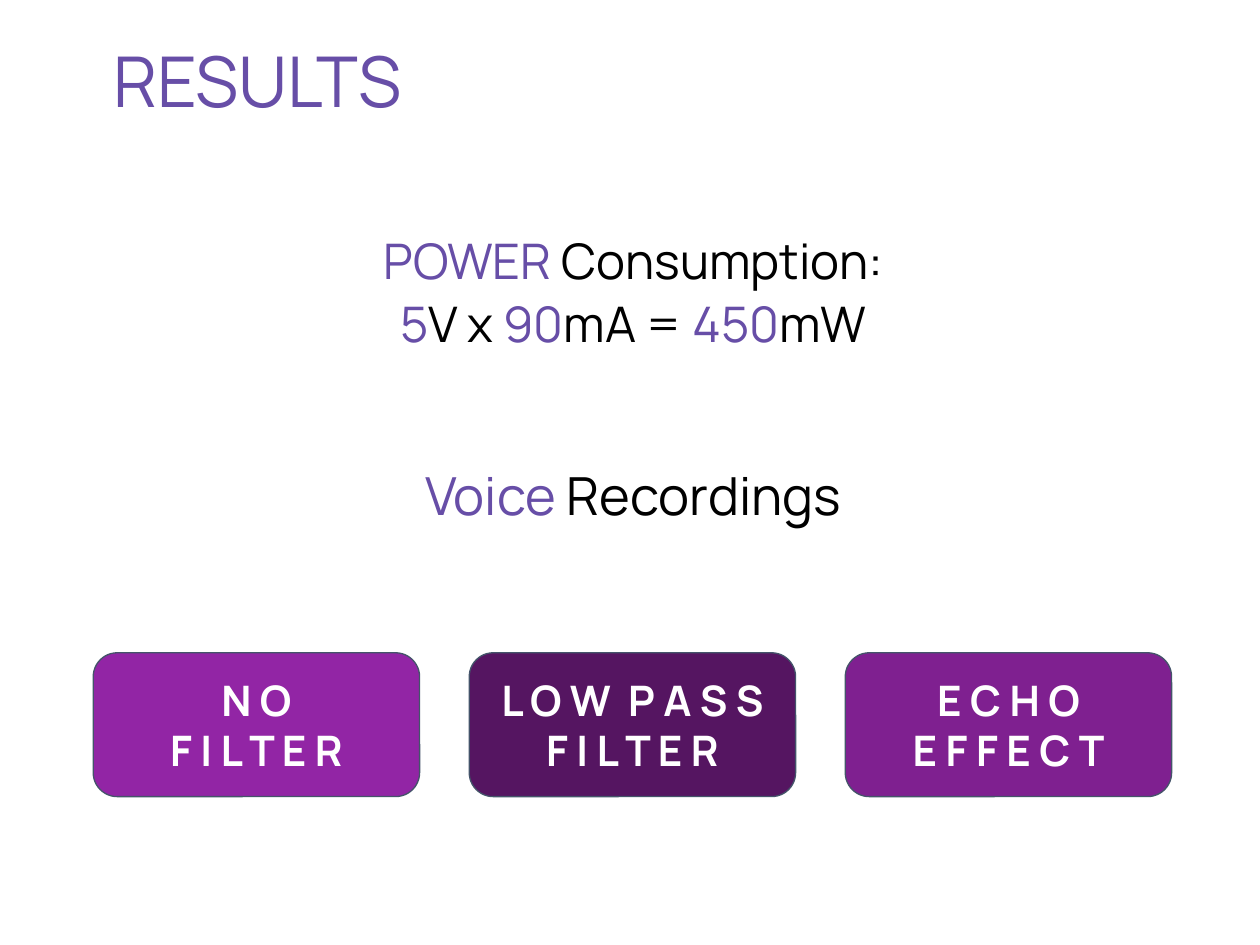
import pptx
import pptx.dml.color
import pptx.enum.shapes
import pptx.enum.text
import pptx.util
from pptx.util import Cm, Pt

COLOURS = {"accent": "674EA7", "text": "000000", "white": "FFFFFF", "outline": "44546A",
           "violet": "9225A5", "plum": "551561", "purple": "7F2090"}
FONT = "Manrope"
TITLE = "RESULTS"
BODY = [
    (28, 0, [("POWER ", "accent"), ("Consumption:", "text")]),
    (28, 5.6, [("5", "accent"), ("V x ", "text"), ("90", "accent"),
               ("mA = ", "text"), ("450", "accent"), ("mW", "text")]),
    (30, 67, [("Voice", "accent"), (" Recordings", "text")]),
]
BUTTONS = [
    ("violet", [["N O"], ["F I L T E R"]]),
    ("plum", [["L O W", "P A S S"], ["F I L T E R"]]),
    ("purple", [["E C H O"], ["E F F E C T"]]),
]
BUTTON_LEFT, BUTTON_TOP, BUTTON_STEP = 1.88, 13.16, 7.58
BUTTON_WIDTH, BUTTON_HEIGHT = 6.58, 2.9
WORD_GAP = "500"
CENTER = pptx.enum.text.PP_ALIGN.CENTER
MIDDLE = pptx.enum.text.MSO_ANCHOR.MIDDLE


def colour(name):
    return pptx.dml.color.RGBColor.from_string(COLOURS[name])


def add_run(paragraph, text, size, colour_name, bold=False):
    run = paragraph.add_run()
    run.text = text
    run.font.name = FONT
    run.font.size = Pt(size)
    run.font.bold = bold
    run.font.color.rgb = colour(colour_name)
    return run


def paragraphs(frame, count):
    return [frame.paragraphs[0]] + [frame.add_paragraph() for _ in range(count - 1)]


def add_text_box(slide, left, top, width, height):
    frame = slide.shapes.add_textbox(Cm(left), Cm(top), Cm(width), Cm(height)).text_frame
    frame.word_wrap = True
    frame.margin_left = frame.margin_right = frame.margin_top = frame.margin_bottom = 0
    return frame


def add_title(slide):
    frame = add_text_box(slide, 2.29, 0.79, 20.96, 1.88)
    frame.vertical_anchor = MIDDLE
    paragraph = frame.paragraphs[0]
    paragraph.line_spacing = 0.85
    add_run(paragraph, TITLE, 40, "accent")


def add_body(slide):
    frame = add_text_box(slide, 2.29, 4.79, 20.96, 7.86)
    for paragraph, (size, space, parts) in zip(paragraphs(frame, len(BODY)), BODY):
        paragraph.alignment = CENTER
        paragraph.line_spacing = 0.9
        paragraph.space_before = Pt(space)
        for text, colour_name in parts:
            add_run(paragraph, text, size, colour_name)


def add_button(slide, index, fill, lines):
    shape = slide.shapes.add_shape(
        pptx.enum.shapes.MSO_SHAPE.FLOWCHART_ALTERNATE_PROCESS,
        Cm(BUTTON_LEFT + index * BUTTON_STEP), Cm(BUTTON_TOP),
        Cm(BUTTON_WIDTH), Cm(BUTTON_HEIGHT))
    shape.shadow.inherit = False
    shape.fill.solid()
    shape.fill.fore_color.rgb = colour(fill)
    shape.line.color.rgb = colour("outline")
    shape.line.width = Pt(0.75)
    frame = shape.text_frame
    frame.word_wrap = True
    frame.vertical_anchor = MIDDLE
    frame.margin_left = frame.margin_right = Cm(0.25)
    frame.margin_top = frame.margin_bottom = Cm(0.25)
    for paragraph, words in zip(paragraphs(frame, len(lines)), lines):
        paragraph.alignment = CENTER
        for position, word in enumerate(words):
            if position:
                gap = add_run(paragraph, " ", 24, "white", True)
                gap.font._element.set("spc", WORD_GAP)
            add_run(paragraph, word, 24, "white", True)


def main():
    presentation = pptx.Presentation()
    presentation.slide_width, presentation.slide_height = Cm(25.4), Cm(19.05)
    slide = presentation.slides.add_slide(presentation.slide_layouts[6])
    add_title(slide)
    add_body(slide)
    for index, (fill, lines) in enumerate(BUTTONS):
        add_button(slide, index, fill, lines)
    presentation.save("out.pptx")


if __name__ == "__main__":
    main()
